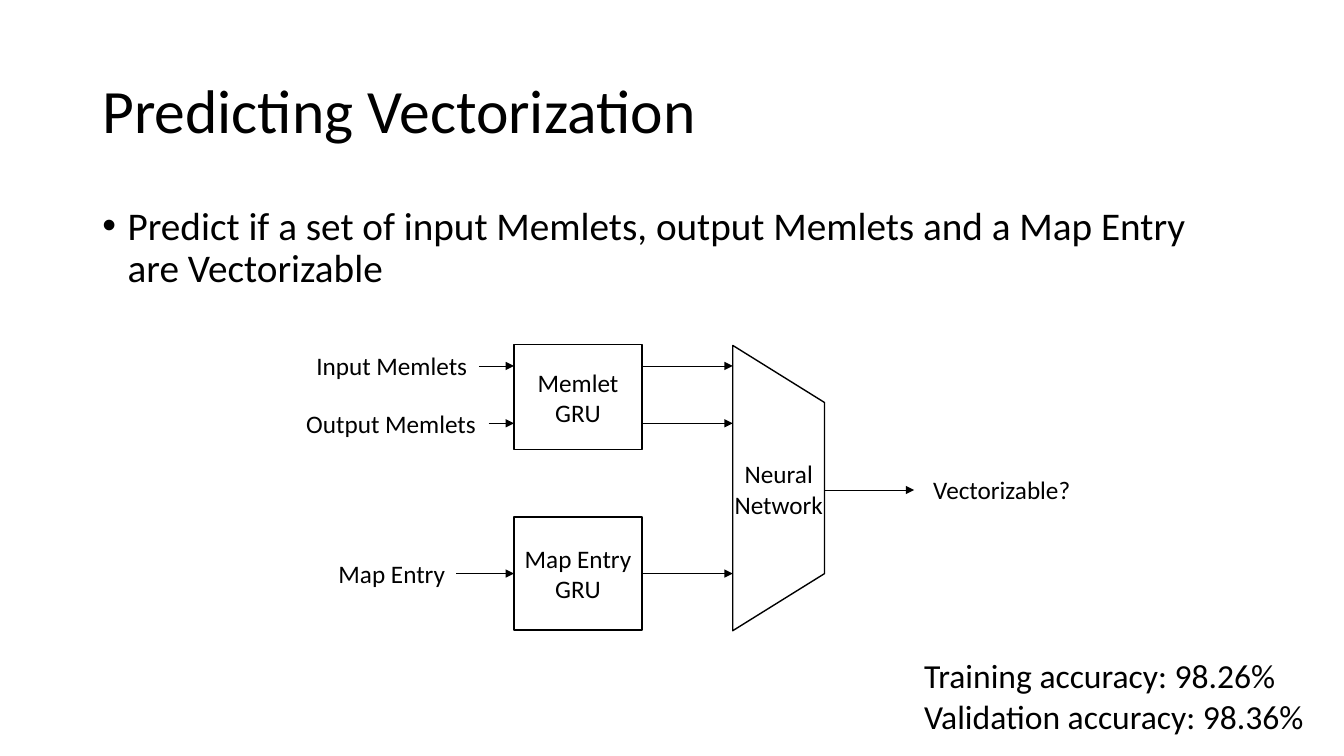
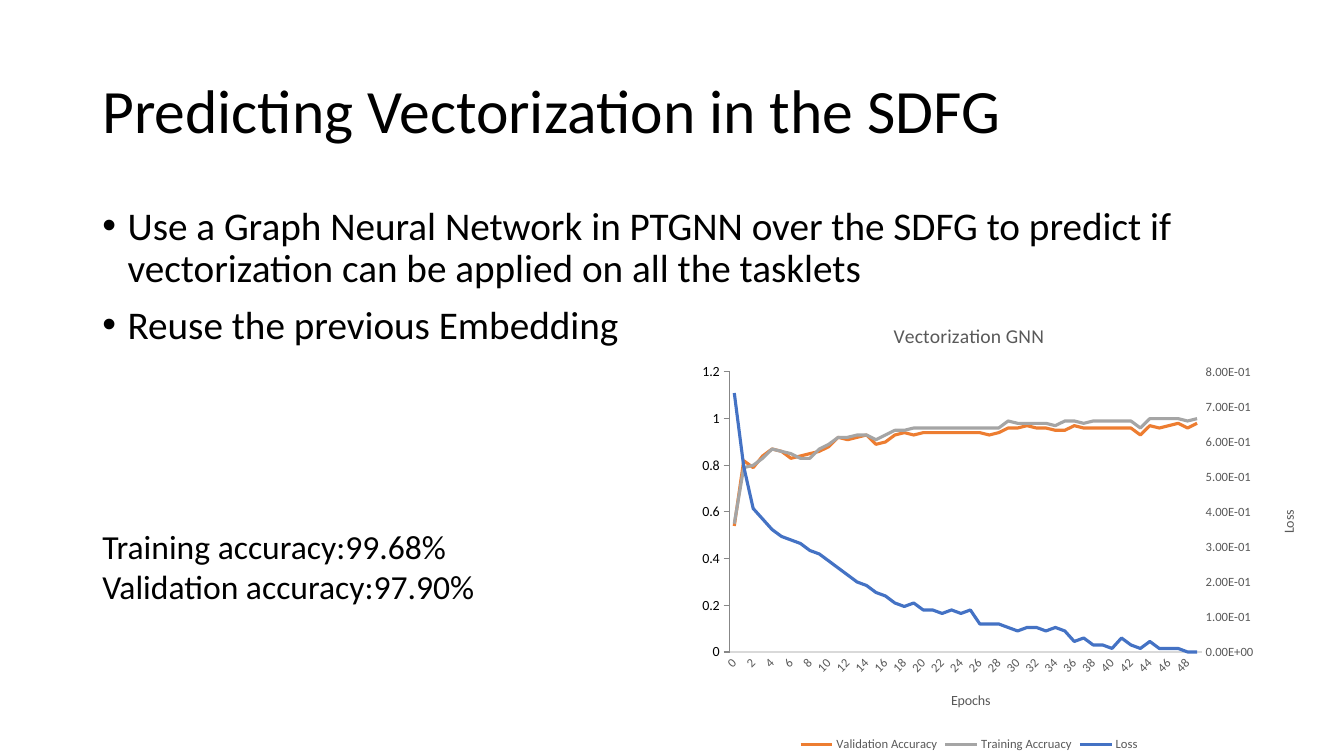
import copy
import dataclasses
from typing import Any, Optional

import lxml.etree
import pptx
import pptx.chart.axis
import pptx.chart.data
import pptx.dml.color
import pptx.enum.chart
import pptx.enum.shapes
import pptx.enum.text
import pptx.oxml.ns
import pptx.util

Pt = pptx.util.Pt
qn = pptx.oxml.ns.qn
ALIGN = pptx.enum.text.PP_ALIGN
ANCHOR = pptx.enum.text.MSO_ANCHOR
AUTO_SIZE = pptx.enum.text.MSO_AUTO_SIZE
SHAPE = pptx.enum.shapes.MSO_SHAPE

FONT = "Calibri"
COLORS = {
    "ink": "000000", "paper": "FFFFFF", "muted": "595959", "grid": "D9D9D9",
    "validation": "ED7D31", "training": "A5A5A5", "loss": "4472C4",
}
MARGIN, CONTENT_WIDTH = 66, 828
TOP_SITE, LEFT_SITE, BOTTOM_SITE, RIGHT_SITE = range(4)
LABEL_FORMAT = {"word_wrap": False, "auto_size": AUTO_SIZE.SHAPE_TO_FIT_TEXT}


@dataclasses.dataclass(frozen=True)
class Frame:
    left: float
    top: float
    width: float
    height: float

    def lengths(self) -> list:
        return [Pt(value) for value in dataclasses.astuple(self)]


@dataclasses.dataclass(frozen=True)
class Label:
    lines: list[str]
    frame: Frame
    size: float = 18
    align: Any = ALIGN.LEFT
    wrap: bool = False


@dataclasses.dataclass(frozen=True)
class Arrow:
    start: float
    end: float
    y: float
    source: Optional[str] = None
    target: Optional[str] = None


@dataclasses.dataclass(frozen=True)
class Curve:
    name: str
    color: str
    values: list[float]


TITLE_FRAME = Frame(MARGIN, 29, CONTENT_WIDTH, 104)
BODY_FRAME = Frame(MARGIN, 144, CONTENT_WIDTH, 343)

INPUT_Y, OUTPUT_Y, ENTRY_Y, RESULT_Y = 261.4, 302.4, 409.7, 350
GRU_LEFT, GRU_WIDTH = 367.2, 91.4
GRU_RIGHT = GRU_LEFT + GRU_WIDTH
NETWORK = Frame(523.4, 246.7, 65.5, 203.8)
NETWORK_RIGHT = NETWORK.left + NETWORK.width
GRUS = {
    "Memlet": Frame(GRU_LEFT, 246.2, GRU_WIDTH, 74.9),
    "Map Entry": Frame(GRU_LEFT, ENTRY_Y - 40.3, GRU_WIDTH, 80.6),
}
ARROWS = [
    Arrow(342, GRU_LEFT, INPUT_Y),
    Arrow(349, GRU_LEFT, OUTPUT_Y),
    Arrow(326, GRU_LEFT, ENTRY_Y, target="Map Entry"),
    Arrow(GRU_RIGHT, NETWORK.left, INPUT_Y),
    Arrow(GRU_RIGHT, NETWORK.left, OUTPUT_Y),
    Arrow(GRU_RIGHT, NETWORK.left, ENTRY_Y, source="Map Entry"),
    Arrow(NETWORK_RIGHT, 653, RESULT_Y),
]
LABELS = [
    Label(["Input Memlets"], Frame(218.9, 246.5, 123.8, 29)),
    Label(["Output Memlets"], Frame(211.7, 288, 136.8, 29)),
    Label(["Map Entry"], Frame(234.7, 395.3, 91.4, 29)),
    Label(["Neural", "Network"], Frame(517, 324, 78.5, 51), align=ALIGN.CENTER),
    Label(["Vectorizable?"], Frame(659.5, 335.5, 113.8, 29)),
    Label(["Training accuracy: 98.26%", "Validation accuracy: 98.36%"],
          Frame(653, 464.4, 288, 65.5), size=24),
]

CHART_FRAME = Frame(447.8, 217.4, 488.9, 322.6)
CURVES = [
    Curve("Validation Accuracy", "validation", [
        0.54, 0.82, 0.79, 0.84, 0.87, 0.86, 0.83, 0.84, 0.85, 0.86,
        0.88, 0.92, 0.91, 0.92, 0.93, 0.89, 0.9, 0.93, 0.94, 0.93,
        0.94, 0.94, 0.94, 0.94, 0.94, 0.94, 0.94, 0.93, 0.94, 0.96,
        0.96, 0.97, 0.96, 0.96, 0.95, 0.95, 0.97, 0.96, 0.96, 0.96,
        0.96, 0.96, 0.96, 0.93, 0.97, 0.96, 0.97, 0.98, 0.96, 0.98]),
    Curve("Training Accruacy", "training", [
        0.55, 0.79, 0.8, 0.83, 0.87, 0.86, 0.85, 0.83, 0.83, 0.87,
        0.89, 0.92, 0.92, 0.93, 0.93, 0.91, 0.93, 0.95, 0.95, 0.96,
        0.96, 0.96, 0.96, 0.96, 0.96, 0.96, 0.96, 0.96, 0.96, 0.99,
        0.98, 0.98, 0.98, 0.98, 0.97, 0.99, 0.99, 0.98, 0.99, 0.99,
        0.99, 0.99, 0.99, 0.96, 1, 1, 1, 1, 0.99, 1]),
    Curve("Loss", "loss", [
        0.74, 0.53, 0.41, 0.38, 0.35, 0.33, 0.32, 0.31, 0.29, 0.28,
        0.26, 0.24, 0.22, 0.2, 0.19, 0.17, 0.16, 0.14, 0.13, 0.14,
        0.12, 0.12, 0.11, 0.12, 0.11, 0.12, 0.08, 0.08, 0.08, 0.07,
        0.06, 0.07, 0.07, 0.06, 0.07, 0.06, 0.03, 0.04, 0.02, 0.02,
        0.01, 0.04, 0.02, 0.01, 0.03, 0.01, 0.01, 0.01, 0, 0]),
]


def rgb(name: str) -> pptx.dml.color.RGBColor:
    return pptx.dml.color.RGBColor.from_string(COLORS[name])


def apply_format(target: Any, values: dict[str, Any]) -> None:
    for attribute, value in values.items():
        setattr(target, attribute, value)


def format_font(font: Any, size: float, color: str = "ink") -> None:
    apply_format(font, {"name": FONT, "size": Pt(size), "bold": False})
    font.color.rgb = rgb(color)


def format_line(line: Any, color: str, width: float) -> None:
    line.color.rgb = rgb(color)
    line.width = Pt(width)


def write_lines(text_frame: Any, lines: list[str], size: float,
                paragraph_format: dict[str, Any]) -> None:
    text_frame.text = "\n".join(lines)
    for paragraph in text_frame.paragraphs:
        apply_format(paragraph, paragraph_format)
        for run in paragraph.runs:
            format_font(run.font, size)


def fill_placeholder(placeholder: Any, frame: Frame, lines: list[str], size: float,
                     anchor: Any, paragraph_format: dict[str, Any]) -> None:
    apply_format(placeholder, dict(zip(("left", "top", "width", "height"), frame.lengths())))
    apply_format(placeholder.text_frame,
                 {"auto_size": AUTO_SIZE.NONE, "vertical_anchor": anchor, "word_wrap": True})
    write_lines(placeholder.text_frame, lines, size,
                {"alignment": ALIGN.LEFT, "line_spacing": 0.9, **paragraph_format})


def add_content_slide(deck: Any, title: str, bullets: list[str]) -> Any:
    slide = deck.slides.add_slide(deck.slide_layouts[1])
    body = slide.placeholders[1]
    fill_placeholder(slide.shapes.title, TITLE_FRAME, [title], 44, ANCHOR.MIDDLE, {})
    fill_placeholder(body, BODY_FRAME, bullets, 28, ANCHOR.TOP, {"space_before": Pt(10)})
    for paragraph in body.text_frame.paragraphs:
        properties = paragraph._p.get_or_add_pPr()
        properties.set("marL", str(Pt(18)))
        properties.set("indent", str(-Pt(18)))
    return slide


def add_label(slide: Any, label: Label) -> None:
    text_frame = slide.shapes.add_textbox(*label.frame.lengths()).text_frame
    apply_format(text_frame, {**LABEL_FORMAT, "word_wrap": label.wrap})
    write_lines(text_frame, label.lines, label.size, {"alignment": label.align})


def add_block(slide: Any, kind: Any, frame: Frame) -> Any:
    block = slide.shapes.add_shape(kind, *frame.lengths())
    block.shadow.inherit = False
    block.fill.solid()
    block.fill.fore_color.rgb = rgb("paper")
    format_line(block.line, "ink", 1)
    return block


def add_arrow(slide: Any, arrow: Arrow, blocks: dict[str, Any]) -> None:
    connector = slide.shapes.add_connector(
        pptx.enum.shapes.MSO_CONNECTOR.STRAIGHT,
        Pt(arrow.start), Pt(arrow.y), Pt(arrow.end), Pt(arrow.y))
    if arrow.source:
        connector.begin_connect(blocks[arrow.source], RIGHT_SITE)
    if arrow.target:
        connector.end_connect(blocks[arrow.target], LEFT_SITE)
    format_line(connector.line, "ink", 0.5)
    outline = connector.line._get_or_add_ln()
    lxml.etree.SubElement(outline, qn("a:tailEnd"), type="triangle")
    lxml.etree.SubElement(connector._element.spPr, qn("a:effectLst"))


def add_network_diagram(slide: Any) -> None:
    blocks = {}
    for name, frame in GRUS.items():
        blocks[name] = add_block(slide, SHAPE.RECTANGLE, frame)
        apply_format(blocks[name].text_frame,
                     {"word_wrap": False, "vertical_anchor": ANCHOR.MIDDLE})
        write_lines(blocks[name].text_frame, [name, "GRU"], 18, {"alignment": ALIGN.CENTER})
    # The preset lies on its side, so its frame swaps width and height about the centre.
    shift = (NETWORK.height - NETWORK.width) / 2
    turned = Frame(NETWORK.left - shift, NETWORK.top + shift, NETWORK.height, NETWORK.width)
    add_block(slide, SHAPE.FLOWCHART_MANUAL_OPERATION, turned).rotation = 270
    for arrow in ARROWS:
        add_arrow(slide, arrow, blocks)
    for label in LABELS:
        add_label(slide, label)


def place_chart_part(part: Any, **fractions: float) -> None:
    """Give a chart part a manual layout in fractions of the chart."""
    layout = part.find(qn("c:layout"))
    if layout is None:
        layout = lxml.etree.Element(qn("c:layout"))
        part.insert(0 if part.find(qn("c:tx")) is None else 1, layout)
    manual = lxml.etree.SubElement(layout, qn("c:manualLayout"))
    settings = {"xMode": "edge", "yMode": "edge", **fractions}
    if "w" in fractions:
        settings = {"layoutTarget": "inner", **settings}
    for tag, value in settings.items():
        lxml.etree.SubElement(manual, qn(f"c:{tag}"), val=str(value))


def title_text(text_frame: Any, text: str, size: float) -> None:
    text_frame.text = text
    format_font(text_frame.paragraphs[0].runs[0].font, size, "muted")


def format_axis(axis: Any, title: str, x: float, y: float, turn: int = 0) -> None:
    title_text(axis.axis_title.text_frame, title, 10)
    place_chart_part(axis.axis_title._element, x=x, y=y)
    direction = axis.axis_title.text_frame._txBody.bodyPr
    direction.set("rot", str(turn * 60000))
    direction.set("vert", "horz")
    format_font(axis.tick_labels.font, 9, "muted")
    tick = pptx.enum.chart.XL_TICK_MARK.NONE
    apply_format(axis, {"major_tick_mark": tick, "minor_tick_mark": tick})


def format_value_axis(axis: Any, maximum: float, number_format: str) -> None:
    apply_format(axis, {"minimum_scale": 0, "maximum_scale": maximum, "major_unit": 0.1})
    apply_format(axis.tick_labels, {"number_format": number_format,
                                    "number_format_is_linked": False})
    axis.format.line.fill.background()


def add_right_axis(chart: Any) -> Any:
    """Move the last curve to a second line plot and return its value axis."""
    plot_area = chart._chartSpace.chart.plotArea
    left_plot = plot_area.find(qn("c:lineChart"))
    axes = [chart.category_axis._element, chart.value_axis._element]
    crosses = axes[1].find(qn("c:crosses"))
    if axes[1].find(qn("c:crossBetween")) is None:
        crosses.addnext(lxml.etree.Element(qn("c:crossBetween"), val="between"))
    right_plot = copy.deepcopy(left_plot)
    left_plot.addnext(right_plot)
    left_plot.remove(left_plot.findall(qn("c:ser"))[-1])
    for curve in right_plot.findall(qn("c:ser"))[:-1]:
        right_plot.remove(curve)
    hidden, right = [copy.deepcopy(axis) for axis in axes]
    axes[1].addnext(right)
    right.addnext(hidden)
    new_ids = {axis.find(qn("c:axId")).get("val"): str(number)
               for number, axis in enumerate(axes, start=5001)}
    for part in (right_plot, hidden, right):
        for reference in part.findall(qn("c:axId")) + part.findall(qn("c:crossAx")):
            reference.set("val", new_ids[reference.get("val")])
    hidden.find(qn("c:delete")).set("val", "1")
    right.find(qn("c:axPos")).set("val", "r")
    right.find(qn("c:crosses")).set("val", "max")
    return pptx.chart.axis.ValueAxis(right)


def add_training_chart(slide: Any) -> None:
    data = pptx.chart.data.CategoryChartData()
    data.categories = [str(epoch) for epoch in range(len(CURVES[0].values))]
    for curve in CURVES:
        data.add_series(curve.name, curve.values)
    chart = slide.shapes.add_chart(
        pptx.enum.chart.XL_CHART_TYPE.LINE, *CHART_FRAME.lengths(), data).chart
    format_font(chart.font, 10)
    title_text(chart.chart_title.text_frame, "Vectorization GNN", 14)
    chart.has_legend = True
    apply_format(chart.legend, {"position": pptx.enum.chart.XL_LEGEND_POSITION.BOTTOM,
                                "include_in_layout": False})
    format_font(chart.legend.font, 9, "muted")
    for curve, series in zip(CURVES, chart.plots[0].series):
        series.smooth = False
        series.marker.style = pptx.enum.chart.XL_MARKER_STYLE.NONE
        format_line(series.format.line, curve.color, 2.25)
    chart.plots[0].vary_by_categories = False

    chart.value_axis.has_major_gridlines = False
    loss_axis = add_right_axis(chart)
    epochs, accuracy = chart.category_axis, chart.value_axis
    format_axis(epochs, "Epochs", 0.47, 0.85)
    format_line(epochs.format.line, "grid", 0.75)
    epochs._element.find(qn("c:txPr")).find(qn("a:bodyPr")).set("rot", str(-45 * 60000))
    format_axis(accuracy, "Accuracy", 0.03, 0.42, turn=-90)
    format_value_axis(accuracy, 1, "0.00%")
    format_line(accuracy.major_gridlines.format.line, "grid", 0.75)
    format_axis(loss_axis, "Loss", 0.95, 0.45, turn=-90)
    format_value_axis(loss_axis, 0.8, "0.00E+00")
    place_chart_part(chart._chartSpace.chart.plotArea, x=0.15, y=0.15, w=0.69, h=0.62)


def main() -> None:
    deck = pptx.Presentation()
    apply_format(deck, {"slide_width": Pt(960), "slide_height": Pt(540)})
    add_network_diagram(add_content_slide(deck, "Predicting Vectorization", [
        "Predict if a set of input Memlets, output Memlets and a Map Entry are Vectorizable"]))
    sdfg = add_content_slide(deck, "Predicting Vectorization in the SDFG", [
        "Use a Graph Neural Network in PTGNN over the SDFG to predict if "
        "vectorization can be applied on all the tasklets",
        "Reuse the previous Embedding"])
    add_label(sdfg, Label(["Training accuracy:99.68%", "Validation accuracy:97.90%"],
                          Frame(MARGIN, 372.2, 326, 65.5), size=24, wrap=True))
    add_training_chart(sdfg)
    deck.save("out.pptx")


if __name__ == "__main__":
    main()
